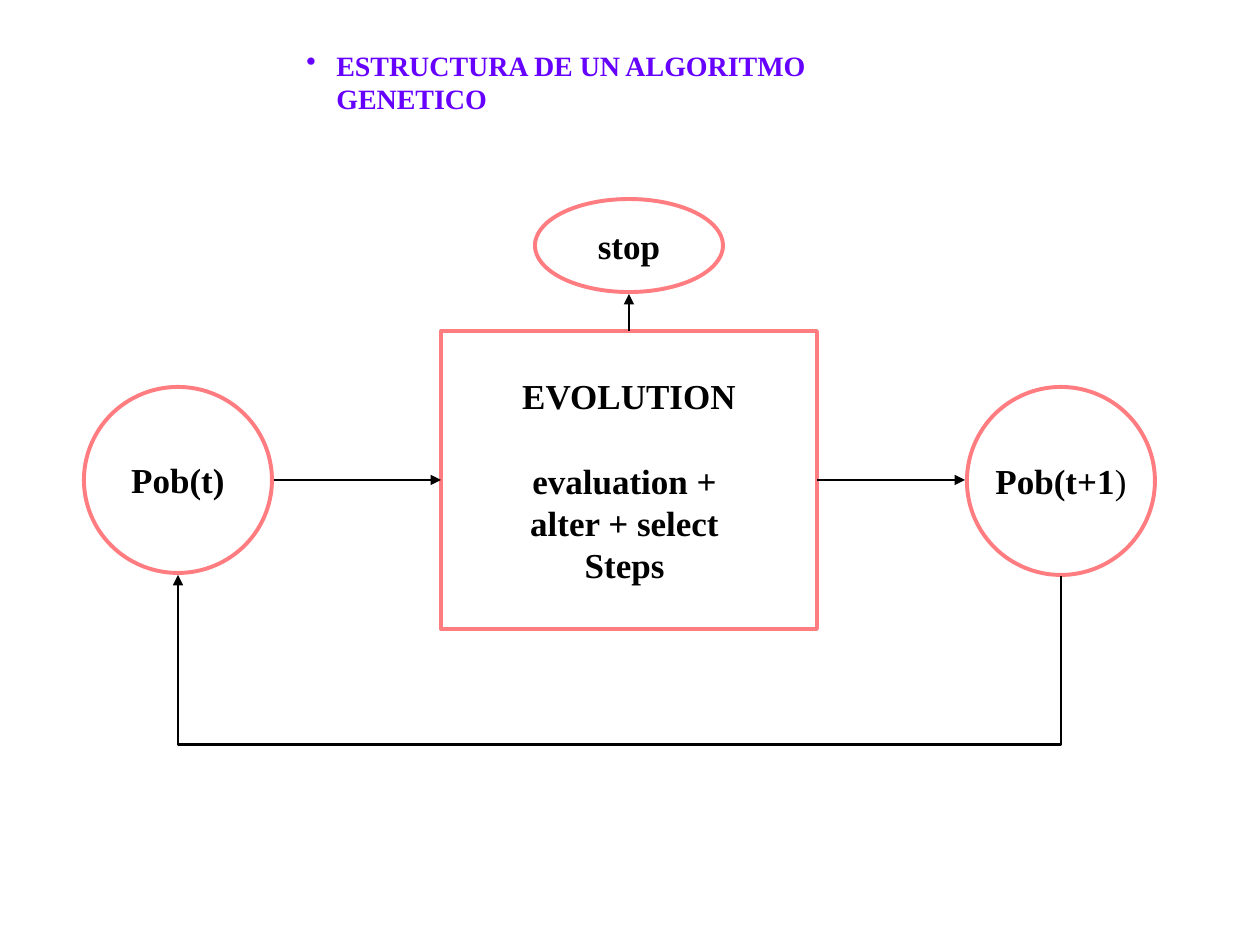
from dataclasses import dataclass

import pptx
import pptx.dml.color
import pptx.enum.shapes
import pptx.enum.text
import pptx.oxml.ns
import pptx.oxml.xmlchemy
import pptx.util
from pptx.enum.shapes import MSO_CONNECTOR, MSO_SHAPE

EMU_PER_PX = 914400 / 126
FONT = "Times New Roman"
COLORS = {"ink": "000000", "paper": "FFFFFF", "outline": "FF7C80", "title": "6600FF"}
TOP, LEFT, RIGHT = 0, 1, 3  # connection sites of a rectangle


@dataclass(frozen=True)
class Run:
    text: str
    bold: bool = True


@dataclass(frozen=True)
class Node:
    kind: MSO_SHAPE
    left: int
    top: int
    width: int
    height: int
    lines: tuple[tuple[Run, ...], ...]
    gap_after_first: int = 0  # points

    @property
    def center_x(self) -> int:
        return self.left + self.width // 2

    @property
    def center_y(self) -> int:
        return self.top + self.height // 2

    @property
    def right(self) -> int:
        return self.left + self.width

    @property
    def bottom(self) -> int:
        return self.top + self.height


def px(length: int) -> pptx.util.Emu:
    return pptx.util.Emu(round(length * EMU_PER_PX))


def color(name: str) -> pptx.dml.color.RGBColor:
    return pptx.dml.color.RGBColor.from_string(COLORS[name])


def add_element(parent, tag: str, **attributes: str):
    element = pptx.oxml.xmlchemy.OxmlElement(tag)
    for key, value in attributes.items():
        element.set(key, value)
    parent.append(element)
    return element


def add_run(paragraph, run: Run, size: int, color_name: str) -> None:
    piece = paragraph.add_run()
    piece.text = run.text
    piece.font.name = FONT
    piece.font.size = pptx.util.Pt(size)
    piece.font.bold = run.bold
    piece.font.color.rgb = color(color_name)


def draw_node(slide, node: Node):
    shape = slide.shapes.add_shape(
        node.kind, px(node.left), px(node.top), px(node.width), px(node.height))
    shape.shadow.inherit = False
    shape.fill.solid()
    shape.fill.fore_color.rgb = color("paper")
    shape.line.color.rgb = color("outline")
    shape.line.width = pptx.util.Pt(2.25)
    frame = shape.text_frame
    frame.word_wrap = False
    frame.vertical_anchor = pptx.enum.text.MSO_ANCHOR.MIDDLE
    for index, line in enumerate(node.lines):
        paragraph = frame.add_paragraph() if index else frame.paragraphs[0]
        paragraph.alignment = pptx.enum.text.PP_ALIGN.CENTER
        for run in line:
            add_run(paragraph, run, 20, "ink")
    if node.gap_after_first:
        frame.paragraphs[0].space_after = pptx.util.Pt(node.gap_after_first)
    return shape


def draw_arrow(slide, kind: MSO_CONNECTOR, start: tuple[int, int], end: tuple[int, int]):
    arrow = slide.shapes.add_connector(kind, *map(px, start + end))
    arrow.line.color.rgb = color("ink")
    arrow.line.width = pptx.util.Pt(1.5)
    properties = arrow._element.spPr
    add_element(properties.find(pptx.oxml.ns.qn("a:ln")), "a:tailEnd", type="triangle")
    add_element(properties, "a:effectLst")
    return arrow


def draw_feedback(slide, start: tuple[int, int], end: tuple[int, int], drop: int) -> None:
    """Elbow that leaves downwards, runs left and rises; laid out upright, then turned 270°."""
    thickness, span = start[1] - end[1], start[0] - end[0]
    left = (start[0] + end[0] - thickness) // 2
    top = (start[1] + end[1] - span) // 2
    arrow = draw_arrow(slide, MSO_CONNECTOR.ELBOW,
                       (left, top + span), (left + thickness, top))
    properties = arrow._element.spPr
    properties.find(pptx.oxml.ns.qn("a:xfrm")).set("rot", str(270 * 60000))
    geometry = properties.find(pptx.oxml.ns.qn("a:prstGeom"))
    adjustments = geometry.find(pptx.oxml.ns.qn("a:avLst"))
    if adjustments is None:
        adjustments = add_element(geometry, "a:avLst")
    add_element(adjustments, "a:gd", name="adj1", fmla=f"val {-drop * 100000 // thickness}")


def draw_title(slide, text: str) -> None:
    title = slide.shapes.add_textbox(px(294), px(42), px(665), px(47))
    title.text_frame.word_wrap = True
    paragraph = title.text_frame.paragraphs[0]
    add_run(paragraph, Run(text), 16, "title")
    properties = paragraph._p.get_or_add_pPr()
    properties.set("marL", str(px(30)))
    properties.set("indent", str(-px(30)))
    add_element(properties, "a:buChar", char="•")


POPULATION = Node(MSO_SHAPE.OVAL, 84, 387, 188, 186, ((Run("Pob(t)"),),))
NEXT_POPULATION = Node(MSO_SHAPE.OVAL, 967, 387, 188, 188,
                       ((Run("Pob(t+1"), Run(")", bold=False)),))
STOP = Node(MSO_SHAPE.OVAL, 535, 199, 188, 93, ((Run("stop"),),))
EVOLUTION = Node(
    MSO_SHAPE.RECTANGLE, 441, 331, 376, 298,
    tuple((Run(text),) for text in
          ("EVOLUTION", "evaluation + ", "alter + select ", "Steps ")),
    gap_after_first=24)
CLEARANCE = 2  # px between an oval and an arrow end


def main() -> None:
    presentation = pptx.Presentation()
    presentation.slide_width = px(1260)
    presentation.slide_height = px(945)
    slide = presentation.slides.add_slide(presentation.slide_layouts[6])

    # Populations, stop condition and evolution step
    for oval in (POPULATION, NEXT_POPULATION, STOP):
        draw_node(slide, oval)
    evolution = draw_node(slide, EVOLUTION)

    # Straight arrows into and out of the evolution step
    middle = EVOLUTION.center_y
    incoming = draw_arrow(slide, MSO_CONNECTOR.STRAIGHT,
                          (POPULATION.right + CLEARANCE, middle), (EVOLUTION.left, middle))
    incoming.end_connect(evolution, LEFT)
    outgoing = draw_arrow(slide, MSO_CONNECTOR.STRAIGHT, (EVOLUTION.right, middle),
                          (NEXT_POPULATION.left - CLEARANCE, middle))
    outgoing.begin_connect(evolution, RIGHT)
    stopping = draw_arrow(slide, MSO_CONNECTOR.STRAIGHT, (EVOLUTION.center_x, EVOLUTION.top),
                          (STOP.center_x, STOP.bottom + CLEARANCE))
    stopping.begin_connect(evolution, TOP)

    # Loop back to the current population
    draw_feedback(slide,
                  (NEXT_POPULATION.center_x, NEXT_POPULATION.bottom + CLEARANCE - 1),
                  (POPULATION.center_x, POPULATION.bottom + CLEARANCE), drop=170)

    # Heading
    draw_title(slide, "ESTRUCTURA DE UN ALGORITMO GENETICO")

    presentation.save("out.pptx")


if __name__ == "__main__":
    main()
